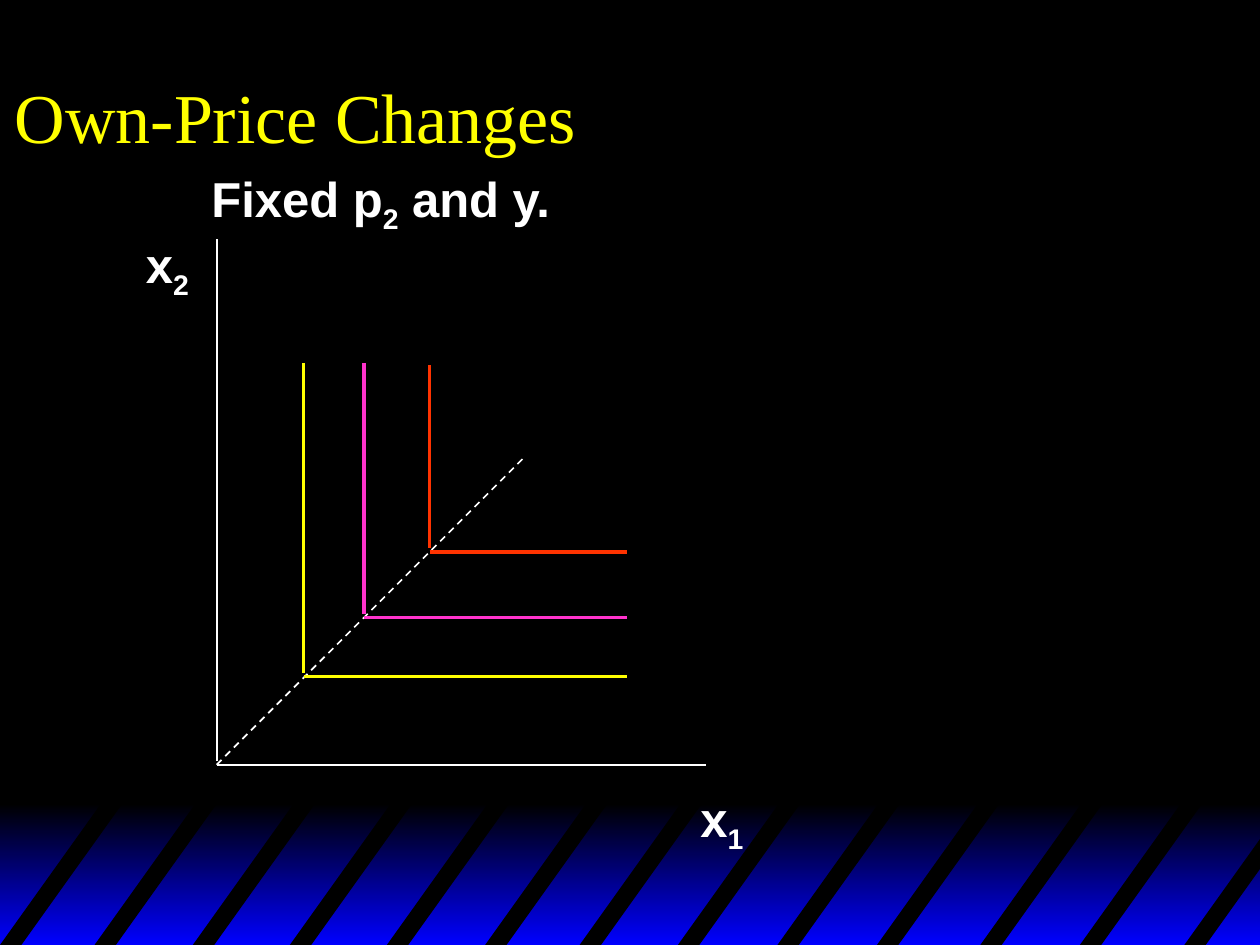
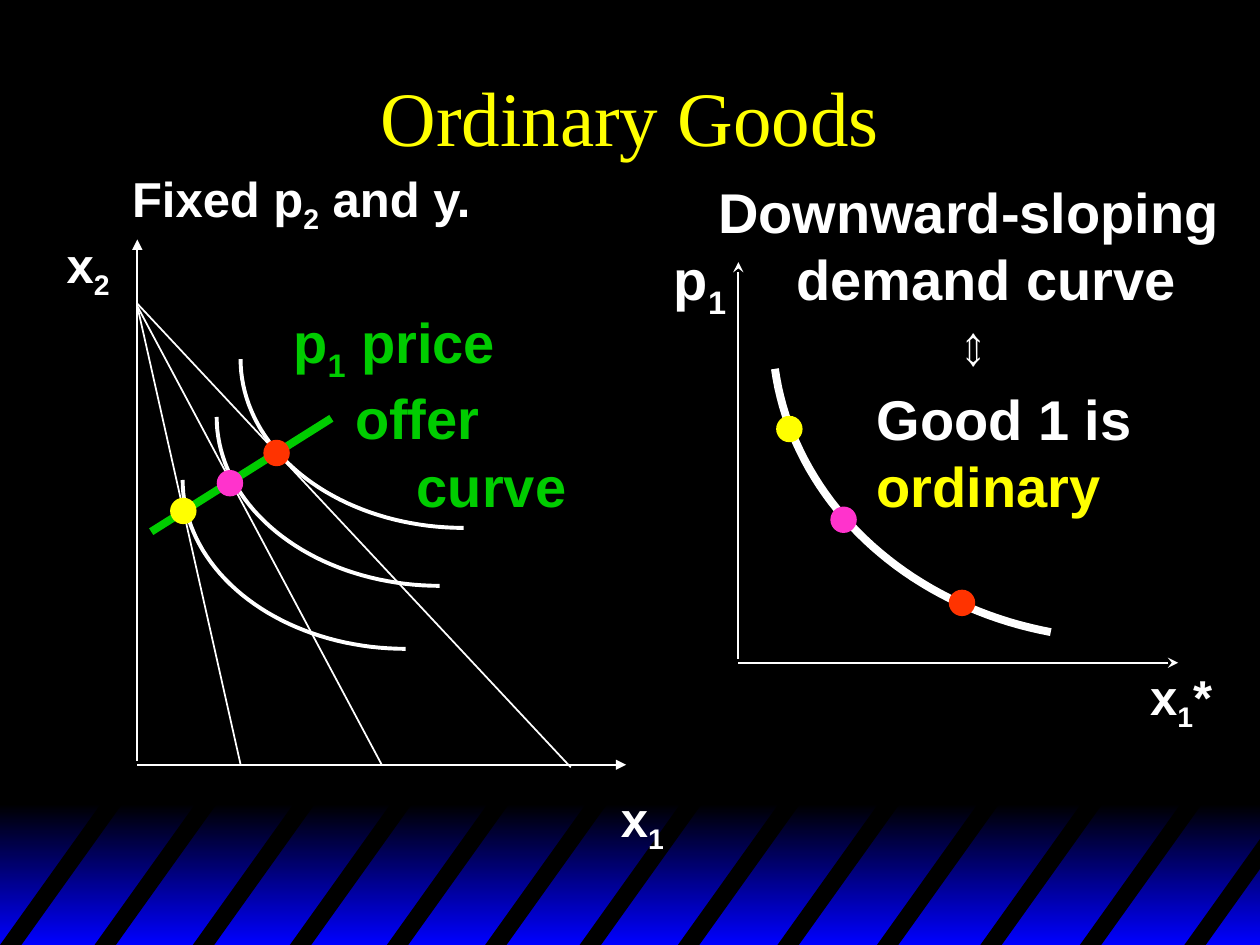
"""Build two slides on own-price changes and ordinary goods."""
from dataclasses import dataclass
from itertools import cycle
from math import cos, radians, sin

from lxml.etree import SubElement
from pptx import Presentation
from pptx.dml.color import RGBColor
from pptx.enum.dml import MSO_LINE
from pptx.enum.shapes import MSO_CONNECTOR, MSO_SHAPE
from pptx.enum.text import MSO_ANCHOR, PP_ALIGN
from pptx.oxml.ns import qn
from pptx.util import Pt

EMU_PER_PX = 9144
WIDTH, HEIGHT = 1000, 750
STRIPE_LEFTS = (0, 75, 153, 230, 307, 385, 460, 538, 617, 696, 778, 857, 940)
STRIPE_WIDTH, STRIPE_RUN, STRIPE_SLOPE = 17, 84, 1.4


@dataclass(frozen=True)
class Theme:
    black: str = "000000"
    blue: str = "0000FF"
    white: str = "FFFFFF"
    yellow: str = "FFFF00"
    pink: str = "FF33CC"
    red: str = "FF3300"
    green: str = "00CC00"
    title_font: str = "Times New Roman"
    label_font: str = "Arial"
    title_size: int = 44
    small_title_size: int = 40
    large_size: int = 32
    label_size: int = 28


def emu(*lengths):
    return [round(length * EMU_PER_PX) for length in lengths]


class SlideBuilder:
    def __init__(self, deck, theme):
        self.deck = deck
        self.theme = theme
        self.page = None

    def new_page(self):
        self.page = self.deck.slides.add_slide(self.deck.slide_layouts[6])
        self.paint(self.page.background.fill, self.theme.black)
        self.striped_band()

    def paint(self, fill, color):
        fill.solid()
        fill.fore_color.rgb = RGBColor.from_string(color)

    def plain_shape(self, kind, left, top, width, height):
        shape = self.page.shapes.add_shape(kind, *emu(left, top, width, height))
        shape.shadow.inherit = False
        shape.line.fill.background()
        return shape

    def outline(self, points, close):
        start, *rest = [emu(*point) for point in points]
        builder = self.page.shapes.build_freeform(*start)
        builder.add_line_segments(rest, close=close)
        shape = builder.convert_to_shape()
        shape.shadow.inherit = False
        return shape

    def striped_band(self):
        band = self.plain_shape(MSO_SHAPE.RECTANGLE, 0, 638, WIDTH, 112)
        band.fill.gradient()
        band.fill.gradient_angle = 270
        for stop, color in zip(band.fill.gradient_stops, (self.theme.black, self.theme.blue)):
            stop.color.rgb = RGBColor.from_string(color)
        for left in STRIPE_LEFTS:
            right = left + STRIPE_WIDTH
            left_run = min(STRIPE_RUN, WIDTH - left)
            right_run = min(STRIPE_RUN, WIDTH - right)
            stripe = self.outline([
                (left, HEIGHT),
                (left + left_run, HEIGHT - left_run * STRIPE_SLOPE),
                (right + right_run, HEIGHT - right_run * STRIPE_SLOPE),
                (right, HEIGHT),
            ], close=True)
            self.paint(stripe.fill, self.theme.black)
            stripe.line.fill.background()

    def title(self, text, left, size, align):
        box = self.page.shapes.add_textbox(*emu(left, 25, 850, 133))
        frame = box.text_frame
        frame.word_wrap = True
        frame.vertical_anchor = MSO_ANCHOR.MIDDLE
        frame.text = text
        paragraph = frame.paragraphs[0]
        paragraph.alignment = align
        self.style(paragraph.runs[0], self.theme.title_font, size, self.theme.yellow)

    def style(self, span, font, size, color, bold=False):
        span.font.name = font
        span.font.size = Pt(size)
        span.font.bold = bold
        span.font.color.rgb = RGBColor.from_string(color)

    def label(self, text, left, top, width, height, size=None, colors=None, indent=0):
        """Write bold lines, where an underscore lowers the character after it."""
        box = self.page.shapes.add_textbox(*emu(left, top, width, height))
        frame = box.text_frame
        frame.word_wrap = False
        frame.text = text.replace("_", "")
        line_colors = cycle(colors or [self.theme.white])
        lines = zip(frame.paragraphs, text.split("\n"), line_colors)
        for index, (paragraph, line, color) in enumerate(lines):
            if indent and index:
                paragraph._p.get_or_add_pPr().set("marL", str(emu(indent * index)[0]))
            base, *lowered = line.split("_")
            paragraph.text = base
            for part in lowered:
                span = paragraph.add_run()
                span.text = part[0]
                span._r.get_or_add_rPr().set("baseline", "-25000")
                if part[1:]:
                    paragraph.add_run().text = part[1:]
            for span in paragraph.runs:
                self.style(span, self.theme.label_font, size or self.theme.label_size, color, True)
        return box

    def line(self, start, end, color=None, weight=1, dashed=False, head=None, tail=None):
        connector = self.page.shapes.add_connector(MSO_CONNECTOR.STRAIGHT, *emu(*start, *end))
        connector.line.width = Pt(weight)
        self.paint(connector.line.fill, color or self.theme.white)
        if dashed:
            connector.line.dash_style = MSO_LINE.DASH
        for tag, arrow in (("a:headEnd", head), ("a:tailEnd", tail)):
            if arrow:
                SubElement(connector.line._get_or_add_ln(), qn(tag)).set("type", arrow)
        SubElement(connector._element.spPr, qn("a:effectLst"))

    def curve(self, center, radii, weight, start=90, end=180, steps=40):
        """Draw part of an ellipse, with angles in degrees clockwise from the right."""
        angles = [radians(start + (end - start) * step / steps) for step in range(steps + 1)]
        shape = self.outline([
            (center[0] + radii[0] * cos(angle), center[1] + radii[1] * sin(angle))
            for angle in angles
        ], close=False)
        shape.fill.background()
        self.paint(shape.line.fill, self.theme.white)
        shape.line.width = Pt(weight)

    def dot(self, left, top, color):
        self.paint(self.plain_shape(MSO_SHAPE.OVAL, left, top, 21, 21).fill, color)

    def axes(self, left, top, base, right, arrow=None):
        self.line((left, top), (left, base - 3), head=arrow)
        self.line((left, base), (right, base), tail=arrow)

    def goods_axes(self, left, arrow=None):
        self.label("Fixed p_2 and y.", left - 14, 129, 292, 63)
        self.axes(left, 190, 607, left + 388, arrow)
        self.label("x_1", left + 374, 621, 54, 63)
        self.label("x_2", left - 66, 181, 54, 63)


def own_price_changes(builder):
    theme = builder.theme
    builder.new_page()
    builder.title("Own-Price Changes", 2, theme.small_title_size, PP_ALIGN.LEFT)
    builder.goods_axes(172)
    builder.line((172, 607), (415, 364), dashed=True)
    kinks = ((241, 288, 537, theme.yellow), (289, 288, 490, theme.pink), (341, 290, 438, theme.red))
    for left, top, corner, color in kinks:
        builder.line((left, top), (left, corner - 3), color, 2)
        builder.line((left, corner), (498, corner), color, 2)


def ordinary_goods(builder):
    theme = builder.theme
    builder.new_page()
    builder.title("Ordinary Goods", 75, theme.title_size, PP_ALIGN.CENTER)
    builder.goods_axes(109, "triangle")
    for top, right, bottom in ((241, 453, 609), (243, 303, 607), (243, 191, 607)):
        builder.line((109, top), (right, bottom))
    for center in ((368, 285), (349, 331), (322, 381)):
        builder.curve(center, (177, 134), 2.25)
    builder.line((120, 422), (263, 332), theme.green, 4.5)
    for left, top, color in ((135, 395, theme.yellow), (209, 349, theme.red), (172, 373, theme.pink)):
        builder.dot(left, top, color)
    builder.label("p_1 price\noffer\ncurve", 223, 239, 238, 178,
                  theme.large_size, [theme.green], indent=49)

    builder.axes(586, 208, 526, 935, "stealth")
    builder.label("x_1*", 903, 524, 69, 63)
    builder.curve((892, 263), (279, 244), 4.5, 102, 173)
    for left, top, color in ((616, 330, theme.yellow), (753, 468, theme.red), (659, 402, theme.pink)):
        builder.dot(left, top, color)
    builder.label("Downward-sloping\ndemand curve", 560, 136, 431, 117, theme.large_size, indent=62)
    builder.label("Good 1 is\nordinary", 686, 300, 223, 117,
                  theme.large_size, [theme.white, theme.yellow])
    builder.label("⇔", 748, 246, 62, 63, theme.large_size).rotation = 90
    builder.label("p_1", 525, 189, 62, 71, theme.large_size)


def main():
    deck = Presentation()
    deck.slide_width, deck.slide_height = emu(WIDTH, HEIGHT)
    builder = SlideBuilder(deck, Theme())
    own_price_changes(builder)
    ordinary_goods(builder)
    deck.save("out.pptx")


if __name__ == "__main__":
    main()
